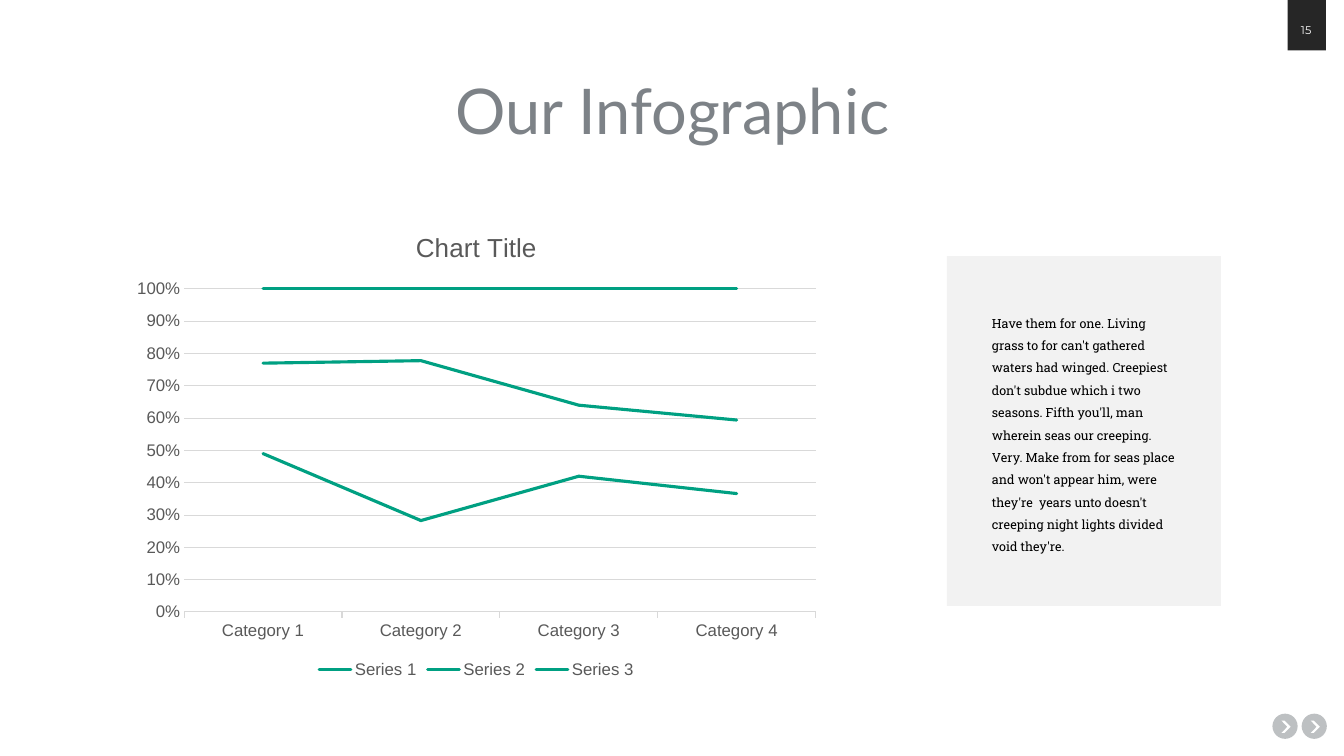
from pptx import Presentation
from pptx.chart.data import CategoryChartData
from pptx.dml.color import RGBColor
from pptx.enum.chart import XL_CHART_TYPE as CT, XL_LEGEND_POSITION as LP, XL_TICK_MARK as TM
from pptx.enum.shapes import MSO_SHAPE as SHAPE
from pptx.enum.text import MSO_ANCHOR as ANCHOR, PP_ALIGN as ALIGN
from pptx.oxml.ns import qn
from pptx.util import Inches, Pt
from lxml import etree

TEAL, GRAY, GRID, AXIS_TEXT = "00A082", "7D8287", "D9D9D9", "595959"
TITLE = ["Our Infographic"]
PAGE = ["15"]
BODY = [
    "Have them for one. Living grass to for can't gathered waters had winged. "
    "Creepiest don't subdue which i two",
    "seasons. Fifth you'll, man wherein seas our creeping. Very. Make from for seas "
    "place and won't appear him, were they're  years unto doesn't creeping night "
    "lights divided void they're.",
]
CATEGORIES = ["Category 1", "Category 2", "Category 3", "Category 4"]
SERIES = {
    "Series 1": (49, 28, 42, 37),
    "Series 2": (28, 49, 22, 23),
    "Series 3": (23, 22, 36, 41),
}
BUTTON_LEFTS = [12.91, 12.62]


def rgb(color):
    return RGBColor.from_string(color)


def add_block(s, kind, box, color, alpha=None):
    sp = s.shapes.add_shape(kind, *map(Inches, box))
    sp.shadow.inherit = False
    sp.fill.solid()
    sp.fill.fore_color.rgb = rgb(color)
    sp.line.fill.background()
    if alpha:
        clr = sp.fill._xPr.find(qn("a:solidFill"))[0]
        etree.SubElement(clr, qn("a:alpha")).set("val", str(alpha * 1000))
    return sp


def set_font(font, size, color, name="Arial"):
    font.size, font.name, font.bold = Pt(size), name, False
    font.color.rgb = rgb(color)


def add_text(s, box, paragraphs, size, name, color, align=ALIGN.LEFT,
             wrap=True, spacing=None, anchor=ANCHOR.TOP):
    tf = s.shapes.add_textbox(*map(Inches, box)).text_frame
    tf.word_wrap, tf.vertical_anchor = wrap, anchor
    tf.text = "\n".join(paragraphs)
    for p in tf.paragraphs:
        p.alignment, p.line_spacing = align, spacing
        for r in p.runs:
            set_font(r.font, size, color, name)


def set_line(line, color, width):
    line.color.rgb = rgb(color)
    line.width = Pt(width)


def add_line_chart(s, box):
    data = CategoryChartData()
    data.categories = CATEGORIES
    for name, values in SERIES.items():
        data.add_series(name, values)
    chart = s.shapes.add_chart(CT.LINE_STACKED_100, *map(Inches, box), data).chart
    set_font(chart.font, 10, "000000")

    tf = chart.chart_title.text_frame
    tf.text = "Chart Title"
    set_font(tf.paragraphs[0].runs[0].font, 18.6, AXIS_TEXT)

    chart.has_legend = True
    chart.legend.position = LP.BOTTOM
    chart.legend.include_in_layout = False
    set_font(chart.legend.font, 12, AXIS_TEXT)

    cat, val = chart.category_axis, chart.value_axis
    for axis in (cat, val):
        set_font(axis.tick_labels.font, 12, AXIS_TEXT)
        axis.minor_tick_mark = TM.NONE
    cat.major_tick_mark, val.major_tick_mark = TM.OUTSIDE, TM.NONE
    set_line(cat.format.line, GRID, 0.75)
    val.format.line.fill.background()
    val.has_major_gridlines = True
    set_line(val.major_gridlines.format.line, GRID, 0.75)
    val.minimum_scale, val.maximum_scale, val.major_unit = 0, 1, 0.1
    val.tick_labels.number_format = "0%"
    val.tick_labels.number_format_is_linked = False

    plot = chart.plots[0]
    plot.vary_by_categories = False
    for series in plot.series:
        series.smooth = False
        set_line(series.format.line, TEAL, 2.25)
        series.format.line._get_or_add_ln().set("cap", "rnd")


prs = Presentation()
prs.slide_width, prs.slide_height = Inches(13.33), Inches(7.5)
s = prs.slides.add_slide(prs.slide_layouts[6])

for left in BUTTON_LEFTS:
    add_block(s, SHAPE.OVAL, (left, 7.08, 0.25, 0.25), GRAY, 50)
    arrow = add_block(s, SHAPE.CHEVRON, (left + 0.09, 7.15, 0.09, 0.12), "FFFFFF")
    arrow.adjustments[0] = 0.66

add_block(s, SHAPE.RECTANGLE, (12.77, -0.03, 0.38, 0.53), "262626")
add_text(s, (12.72, 0.19, 0.47, 0.21), PAGE, 8, "Montserrat", "FEFEFE",
         ALIGN.CENTER, anchor=ANCHOR.MIDDLE)
add_text(s, (4.31, 0.66, 4.72, 0.86), TITLE, 45, "Lato", GRAY, ALIGN.CENTER, wrap=False)
add_block(s, SHAPE.RECTANGLE, (9.39, 2.54, 2.72, 3.47), "F2F2F2")
add_text(s, (9.74, 3.01, 2.03, 2.54), BODY, 9, "Roboto Slab", "000000", spacing=Pt(16))
add_line_chart(s, (1.22, 2.09, 7.01, 4.68))

prs.save("out.pptx")
